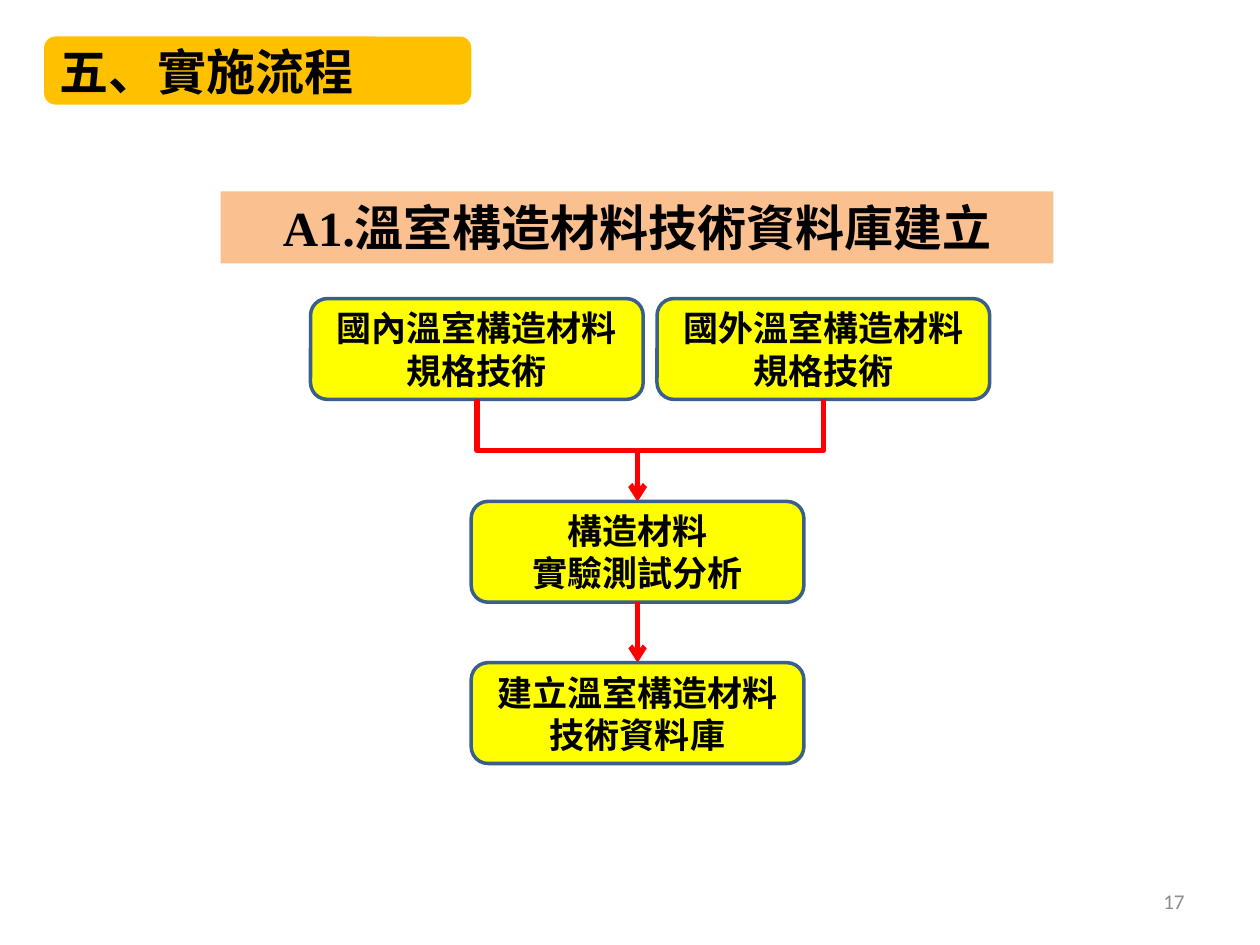
from lxml import etree
from pptx import Presentation
from pptx.dml.color import RGBColor
from pptx.enum.shapes import MSO_CONNECTOR, MSO_SHAPE
from pptx.enum.text import MSO_ANCHOR, PP_ALIGN
from pptx.oxml.ns import qn
from pptx.util import Inches, Pt

ROUND, RECT = MSO_SHAPE.ROUNDED_RECTANGLE, MSO_SHAPE.RECTANGLE
BENT, LINE = MSO_CONNECTOR.ELBOW, MSO_CONNECTOR.STRAIGHT
LEFT, MID, RIGHT = PP_ALIGN.LEFT, PP_ALIGN.CENTER, PP_ALIGN.RIGHT
TOP, CENTER = MSO_ANCHOR.TOP, MSO_ANCHOR.MIDDLE

HEX = {"gold": "FFC000", "peach": "FAC090", "yellow": "FFFF00", "edge": "3A5F8C",
       "arrow": "FF0000", "text": "000000", "gray": "8C8C8C"}
HAN, SERIF, SANS = "Noto Sans CJK SC", "Times New Roman", "Calibri"

# kind, place, fill, lines, align, anchor, text format
HEAD = {"size": Pt(28), "bold": True, "name": SERIF}
LABELS = [
    (RECT, (1.75, 1.52, 6.61, 0.57), "peach", ["A1.溫室構造材料技術資料庫建立"], MID, TOP, HEAD),
    (ROUND, (0.35, 0.29, 3.39, 0.54), "gold", ["五、實施流程"], LEFT, CENTER, HEAD),
]
STEP = {"size": Pt(20), "bold": True, "name": HAN}
PAGE = {"size": Pt(12), "name": SANS}

# Flow rows: top edge, then boxes
FLOW = [
    (2.37, [["國內溫室構造材料規格技術"], ["國外溫室構造材料規格技術"]]),
    (3.98, [["構造材料", "實驗測試分析"]]),
    (5.26, [["建立溫室構造材料技術資料庫"]]),
]
WIDE, HIGH, GAP = 2.64, 0.8, 0.11
PAIR, AXIS = 5.16, 5.06  # centre of the paired row, centre of the single boxes


def color(name):
    return RGBColor.from_string(HEX[name])


def write(shape, lines, align, anchor, form, ink="text"):
    frame = shape.text_frame
    frame.word_wrap, frame.vertical_anchor = True, anchor
    for i, text in enumerate(lines):
        para = frame.add_paragraph() if i else frame.paragraphs[0]
        para.alignment = align
        run = para.add_run()
        run.text = text
        for key, value in form.items():
            setattr(run.font, key, value)
        run.font.color.rgb = color(ink)
        latin = run.font._element.find(qn("a:latin"))
        east = etree.Element(qn("a:ea"), typeface=HAN)
        latin.addnext(east)


def box(kind, place, fill, lines, align, anchor, form, edge=None):
    shape = slide.shapes.add_shape(kind, *map(Inches, place))
    shape.shadow.inherit = False
    shape.fill.solid()
    shape.fill.fore_color.rgb = color(fill)
    if edge:
        shape.line.color.rgb = color(edge)
        shape.line.width = Pt(2)
    else:
        shape.line.fill.background()
    write(shape, lines, align, anchor, form)


def arrow(x1, y1, x2, y2):
    """Join two points downward, bending halfway when they are not in line."""
    kind, ends, turn = LINE, (x1, y1, x2, y2), 0
    if x1 != x2:
        # A bent line leaves sideways, so lay it on its side and turn it
        kind, turn = BENT, 90 if x1 > x2 else 270
        mx, my = (x1 + x2) / 2, (y1 + y2) / 2
        dx, dy = abs(x2 - x1) / 2, (y2 - y1) / 2
        way = 1 if turn == 90 else -1
        ends = (mx - way * dy, my - dx, mx + way * dy, my + dx)
    link = slide.shapes.add_connector(kind, *map(Inches, ends))
    link.line.color.rgb = color("arrow")
    link.line.width = Pt(3)
    props = link._element.spPr
    if turn:
        props.find(qn("a:xfrm")).set("rot", str(turn * 60000))
    etree.SubElement(props.find(qn("a:ln")), qn("a:tailEnd"), type="arrow")
    etree.SubElement(props, qn("a:effectLst"))


deck = Presentation()
deck.slide_width, deck.slide_height = Inches(10), Inches(7.5)
slide = deck.slides.add_slide(deck.slide_layouts[6])

number = slide.shapes.add_textbox(*map(Inches, (7.17, 6.95, 2.33, 0.4)))
write(number, ["17"], RIGHT, CENTER, PAGE, "gray")

above = []
for top, row in FLOW:
    mid = PAIR if len(row) > 1 else AXIS
    spots = [mid + (i - (len(row) - 1) / 2) * (WIDE + GAP) for i in range(len(row))]
    for x, y in above:
        arrow(x, y, spots[0], top)
    for x, lines in zip(spots, row):
        box(ROUND, (x - WIDE / 2, top, WIDE, HIGH), "yellow", lines, MID, CENTER, STEP, "edge")
    above = [(x, top + HIGH) for x in spots]

for label in LABELS:
    box(*label)

deck.save("out.pptx")
